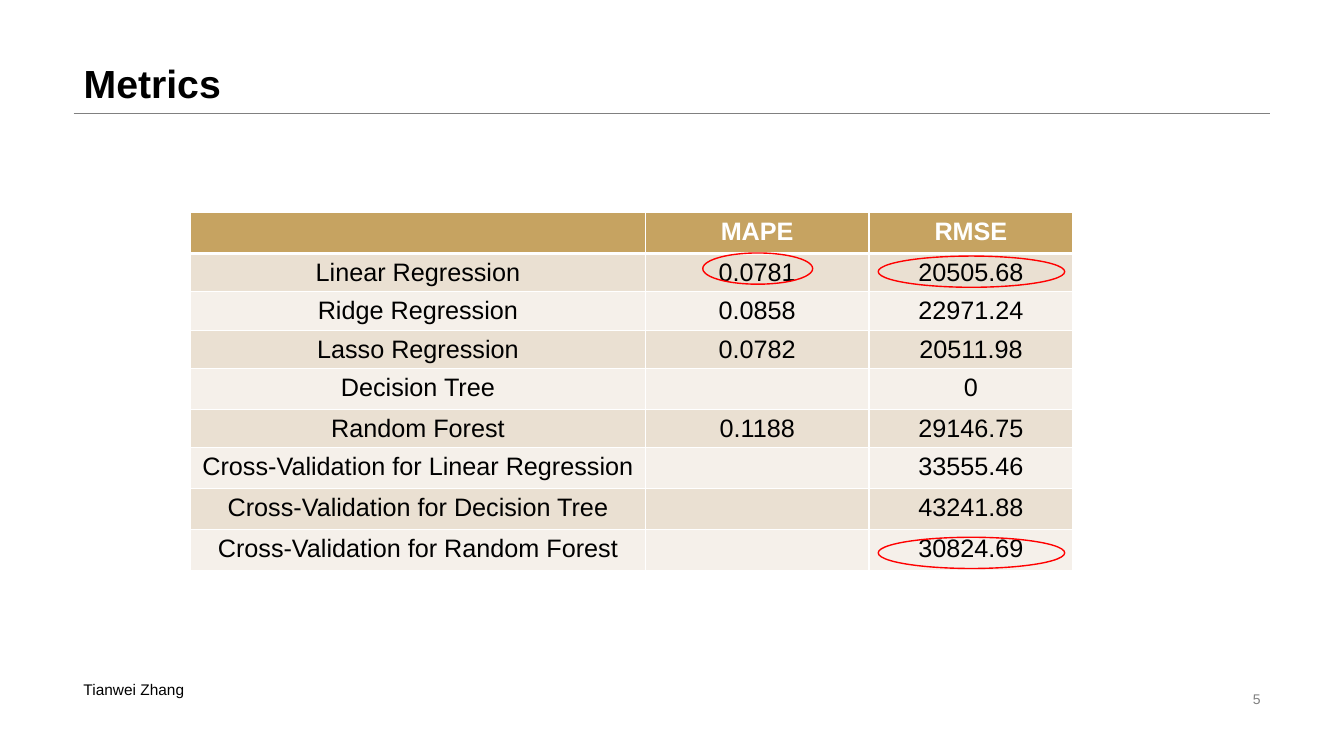
from pptx import Presentation
from pptx.dml.color import RGBColor
from pptx.enum.shapes import MSO_CONNECTOR, MSO_SHAPE
from pptx.enum.text import MSO_ANCHOR, PP_ALIGN
from pptx.oxml.ns import qn
from pptx.util import Inches, Pt
from lxml import etree

# Content
TITLE = "Metrics"
AUTHOR = "Tianwei Zhang"
PAGE = "5"
ROWS = [
    ("", "MAPE", "RMSE"),
    ("Linear Regression", "0.0781", "20505.68"),
    ("Ridge Regression", "0.0858", "22971.24"),
    ("Lasso Regression", "0.0782", "20511.98"),
    ("Decision Tree", "", "0"),
    ("Random Forest", "0.1188", "29146.75"),
    ("Cross-Validation for Linear Regression", "", "33555.46"),
    ("Cross-Validation for Decision Tree", "", "43241.88"),
    ("Cross-Validation for Random Forest", "", "30824.69"),
]
COL_WIDTHS = (4.51, 2.22, 2.02)
ROW_HEIGHT = 0.38
HIGHLIGHTS = [(6.97, 2.51, 1.09), (8.71, 2.54, 1.85), (8.71, 5.33, 1.85)]
LEFT, RIGHT, RULE_Y = 0.73, 12.6, 1.12

# Formats
FONT = "Arial"
BLACK = RGBColor(0x00, 0x00, 0x00)
WHITE = RGBColor(0xFF, 0xFF, 0xFF)
GRAY = RGBColor(0x80, 0x80, 0x80)
RED = RGBColor(0xFF, 0x00, 0x00)
GOLD = RGBColor(0xC6, 0xA3, 0x61)
BANDS = (RGBColor(0xF5, 0xF0, 0xEA), RGBColor(0xEA, 0xE0, 0xD2))
A_LEFT, A_CENTER, A_RIGHT = PP_ALIGN.LEFT, PP_ALIGN.CENTER, PP_ALIGN.RIGHT
TOP, MIDDLE, BOTTOM = MSO_ANCHOR.TOP, MSO_ANCHOR.MIDDLE, MSO_ANCHOR.BOTTOM


def write(tf, text, size=18, color=BLACK, bold=False, align=A_LEFT, anchor=TOP):
    tf.word_wrap = True
    tf.vertical_anchor = anchor
    p = tf.paragraphs[0]
    p.alignment = align
    if not text:
        p.font.size = Pt(size)
        return p
    r = p.add_run()
    r.text = text
    r.font.name = FONT
    r.font.size = Pt(size)
    r.font.bold = bold
    r.font.color.rgb = color
    return p


def add_text(s, text, box, **fmt):
    sp = s.shapes.add_textbox(*map(Inches, box))
    write(sp.text_frame, text, **fmt)


def set_borders(cell, widths):
    tcPr = cell._tc.get_or_add_tcPr()
    for side, width in zip("LRTB", widths):
        ln = etree.SubElement(tcPr, qn("a:ln" + side), w=str(Pt(width)))
        fill = etree.SubElement(ln, qn("a:solidFill"))
        etree.SubElement(fill, qn("a:srgbClr"), val=str(WHITE))


def add_metrics_table(s):
    frame = s.shapes.add_table(
        len(ROWS), len(COL_WIDTHS), Inches(1.89), Inches(2.11),
        Inches(sum(COL_WIDTHS)), Inches(ROW_HEIGHT * len(ROWS)))
    table = frame.table
    for col, width in zip(table.columns, COL_WIDTHS):
        col.width = Inches(width)
    for i, values in enumerate(ROWS):
        table.rows[i].height = Inches(ROW_HEIGHT)
        header = i == 0
        for j, value in enumerate(values):
            cell = table.cell(i, j)
            set_borders(cell, (1, 1, 3 if i == 1 else 1, 3 if header else 1))
            cell.fill.solid()
            cell.fill.fore_color.rgb = GOLD if header else BANDS[i % 2]
            write(cell.text_frame, value, color=WHITE if header else BLACK,
                  bold=header, align=A_CENTER)


def main():
    prs = Presentation()
    prs.slide_width, prs.slide_height = Inches(13.33), Inches(7.5)
    s = prs.slides.add_slide(prs.slide_layouts[5])

    # Title and rule
    title = s.shapes.title
    title.left, title.top = Inches(LEFT), Inches(-0.01)
    title.width, title.height = Inches(RIGHT - LEFT), Inches(1.12)
    write(title.text_frame, TITLE, size=28, bold=True,
          anchor=BOTTOM).line_spacing = 0.9
    rule = s.shapes.add_connector(
        MSO_CONNECTOR.STRAIGHT, Inches(LEFT), Inches(RULE_Y),
        Inches(RIGHT), Inches(RULE_Y))
    rule.line.color.rgb = GRAY
    rule.line.width = Pt(0.25)
    etree.SubElement(rule._element.spPr, qn("a:effectLst"))

    # Metrics table
    add_metrics_table(s)

    # Footer
    add_text(s, AUTHOR, (LEFT, 6.7, 2.04, 0.29), size=11)
    add_text(s, PAGE, (9.42, 6.82, 3.18, 0.23), size=10, color=GRAY,
             align=A_RIGHT, anchor=MIDDLE)

    # Rings around the best scores
    for x, y, width in HIGHLIGHTS:
        ring = s.shapes.add_shape(MSO_SHAPE.OVAL, Inches(x), Inches(y),
                                  Inches(width), Inches(0.31))
        ring.shadow.inherit = False
        ring.fill.background()
        ring.line.color.rgb = RED
        ring.line.width = Pt(1)

    prs.save("out.pptx")


if __name__ == "__main__":
    main()
